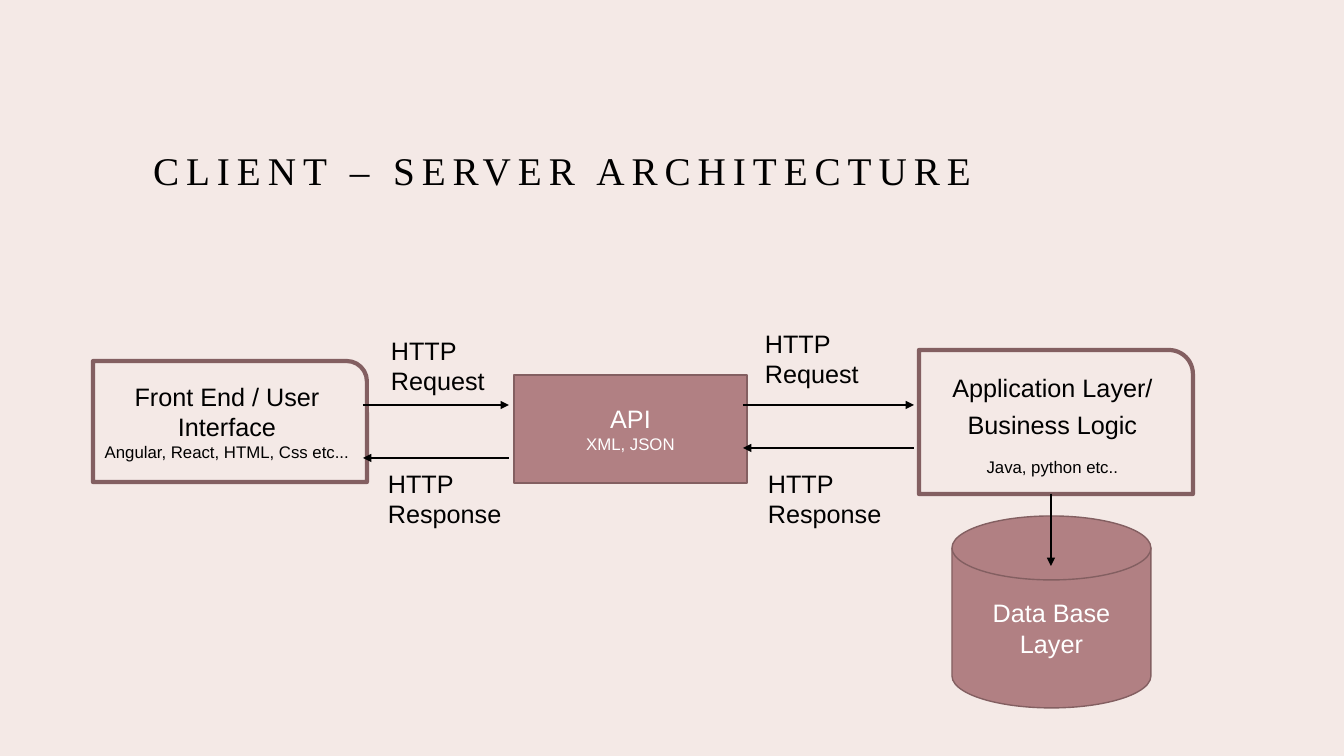
from lxml.etree import SubElement
from pptx import Presentation
from pptx.dml.color import RGBColor
from pptx.enum.shapes import MSO_CONNECTOR, MSO_SHAPE
from pptx.enum.text import MSO_ANCHOR, MSO_AUTO_SIZE, PP_ALIGN
from pptx.oxml.ns import qn
from pptx.util import Emu, Pt

COLORS = {
    "background": "F4E9E6",
    "rose": "B18083",
    "plum": "835F61",
    "black": "000000",
    "white": "FFFFFF",
}


def px(*lengths):
    return [Emu(round(length * 914400 / 100.8)) for length in lengths]


def write(shape, lines, color, align, font="Arial", line_spacing=None, gap=0):
    frame = shape.text_frame
    frame.word_wrap = True
    for index, (text, size) in enumerate(lines):
        paragraph = frame.paragraphs[0] if index == 0 else frame.add_paragraph()
        paragraph.alignment = align
        paragraph.line_spacing = line_spacing
        paragraph.space_before = Pt(gap if index else 0)
        run = paragraph.add_run()
        run.text = text
        run.font.name = font
        run.font.size = Pt(size)
        run.font.color.rgb = RGBColor.from_string(COLORS[color])


presentation = Presentation()
presentation.slide_width, presentation.slide_height = px(1344, 756)
slide = presentation.slides.add_slide(presentation.slide_layouts[5])
slide.background.fill.solid()
slide.background.fill.fore_color.rgb = RGBColor.from_string(COLORS["background"])

title = slide.shapes.title
title.left, title.top, title.width, title.height = px(143, 93, 1058, 144)
write(title, [("CLIENT – SERVER ARCHITECTURE", 28)], "black", PP_ALIGN.LEFT,
      "Times New Roman", 1.2)
title.text_frame.auto_size = MSO_AUTO_SIZE.NONE
title.text_frame.vertical_anchor = MSO_ANCHOR.MIDDLE
title.text_frame.paragraphs[0].runs[0].font._element.set("spc", "500")

layers = [
    (MSO_SHAPE.ROUND_1_RECTANGLE, (93, 361, 274, 121), None, 3, None, 0,
     [("Front End / User Interface", 18), ("Angular, React, HTML, Css etc...", 12)]),
    (MSO_SHAPE.ROUND_1_RECTANGLE, (919, 350, 274, 144), None, 3, 1.2, 10,
     [("Application Layer/ Business Logic", 18), ("Java, python etc..", 12)]),
    (MSO_SHAPE.FLOWCHART_MAGNETIC_DISK, (952, 516, 199, 192), "rose", 1, None, 0,
     [("Data Base Layer", 18)]),
    (MSO_SHAPE.RECTANGLE, (514, 375, 233, 108), "rose", 1, None, 0,
     [("API", 18), ("XML, JSON", 12)]),
]
for preset, box, fill, line_width, line_spacing, gap, lines in layers:
    layer = slide.shapes.add_shape(preset, *px(*box))
    layer.shadow.inherit = False
    if fill:
        layer.fill.solid()
        layer.fill.fore_color.rgb = RGBColor.from_string(COLORS[fill])
    else:
        layer.fill.background()
    layer.line.color.rgb = RGBColor.from_string(COLORS["plum"])
    layer.line.width = Pt(line_width)
    layer.text_frame.vertical_anchor = MSO_ANCHOR.MIDDLE
    write(layer, lines, "white" if fill else "black", PP_ALIGN.CENTER,
          line_spacing=line_spacing, gap=gap)

arrows = [
    (1051, 494, 1051, 566),
    (363, 405, 509, 405),
    (743, 405, 914, 405),
    (914, 448, 743, 448),
    (509, 458, 363, 458),
]
for ends in arrows:
    arrow = slide.shapes.add_connector(MSO_CONNECTOR.STRAIGHT, *px(*ends))
    arrow.line.color.rgb = RGBColor.from_string(COLORS["black"])
    arrow.line.width = Pt(1.5)
    SubElement(arrow.line._get_or_add_ln(), qn("a:tailEnd"), type="triangle")
    SubElement(arrow._element.spPr, qn("a:effectLst"))

messages = [
    ("HTTP Request", 381, 330, 119),
    ("HTTP Request", 755, 323, 119),
    ("HTTP Response", 378, 463, 146),
    ("HTTP Response", 758, 463, 146),
]
for text, left, top, width in messages:
    message = slide.shapes.add_textbox(*px(left, top, width, 71))
    write(message, [(text, 18)], "black", PP_ALIGN.LEFT)
    message.text_frame.auto_size = MSO_AUTO_SIZE.SHAPE_TO_FIT_TEXT

presentation.save("out.pptx")
